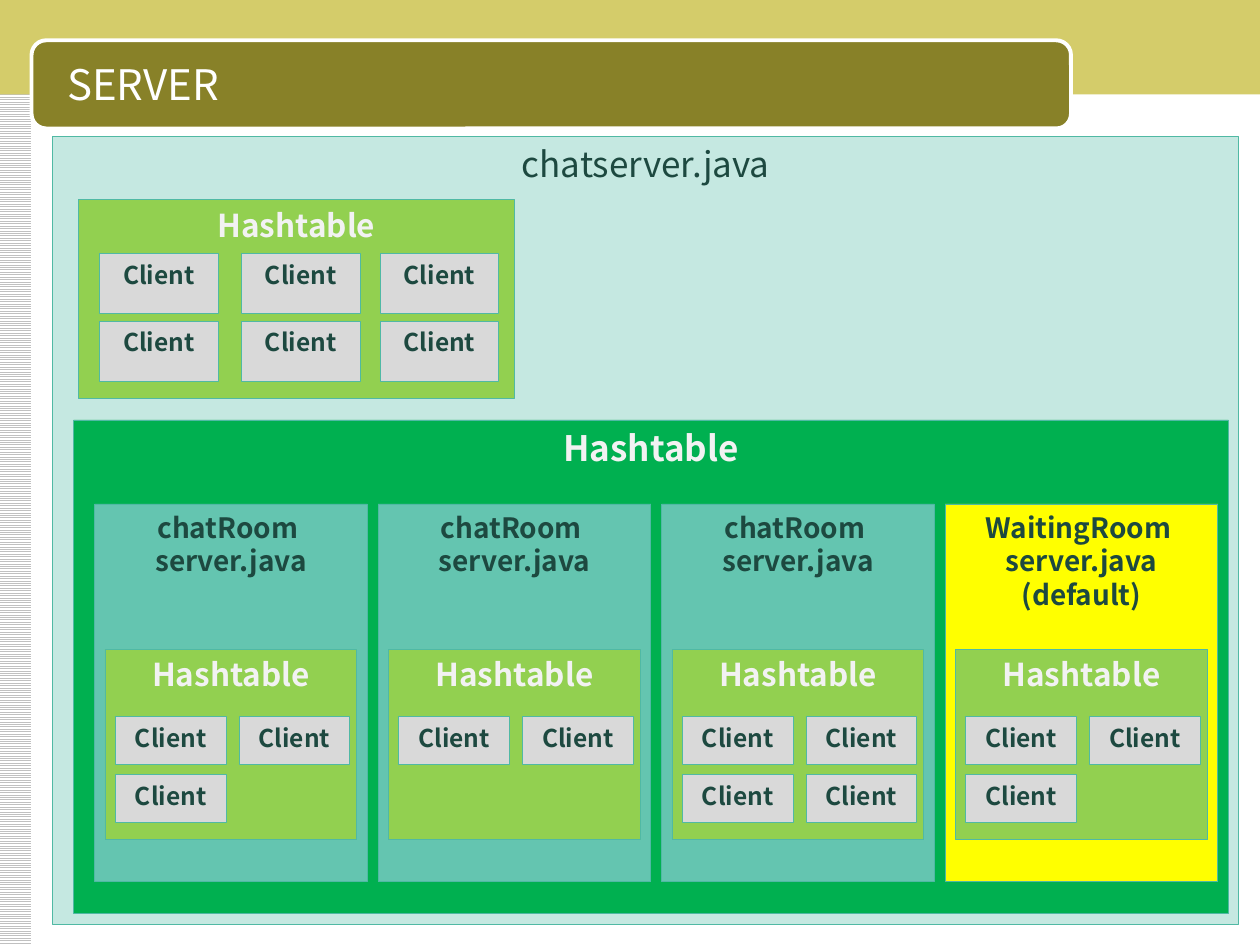
from pptx import Presentation
from pptx.dml.color import RGBColor
from pptx.enum.dml import MSO_PATTERN
from pptx.enum.shapes import MSO_SHAPE
from pptx.enum.text import MSO_ANCHOR, PP_ALIGN
from pptx.util import Pt

RECTANGLE = MSO_SHAPE.RECTANGLE
ROUNDED = MSO_SHAPE.ROUNDED_RECTANGLE
STRIPES = MSO_PATTERN.LIGHT_HORIZONTAL
CENTER, TOP, MIDDLE = PP_ALIGN.CENTER, MSO_ANCHOR.TOP, MSO_ANCHOR.MIDDLE
FONT = "Noto Sans CJK KR"

COLORS = {
    "white": "FFFFFF", "stripe": "C0C0C0", "band": "D4CC6A", "title": "888128",
    "server": "C5E8E1", "rooms": "00B050", "room": "64C5B0", "waiting": "FFFF00",
    "table": "92D050", "client": "D9D9D9", "border": "50B9A4",
    "dark": "1D4940", "light": "F2F2F2",
}

TITLE = "SERVER"
SERVER = "chatserver.java"
TABLE = "Hashtable"
CLIENT = "Client"
CHAT_ROOM = ["chatRoom ", "server.java"]
WAITING_ROOM = ["WaitingRoom ", "server.java", "(default)"]
ROOMS = [
    (CHAT_ROOM, "room", 3),
    (CHAT_ROOM, "room", 2),
    (CHAT_ROOM, "room", 4),
    (WAITING_ROOM, "waiting", 3),
]
ALL_CLIENTS = 6
ROOM_LEFT, ROOM_PITCH = 54, 162


def color(name):
    return RGBColor.from_string(COLORS[name])


def add_block(shapes, box, fill, line=None, width=0.5, kind=RECTANGLE):
    shape = shapes.add_shape(kind, *map(Pt, box))
    shape.shadow.inherit = False
    shape.fill.solid()
    shape.fill.fore_color.rgb = color(fill)
    if line:
        shape.line.color.rgb = color(line)
        shape.line.width = Pt(width)
    else:
        shape.line.fill.background()
    return shape


def add_labelled(shapes, box, fill, lines, size, ink="dark", bold=True):
    shape = add_block(shapes, box, fill, "border")
    frame = shape.text_frame
    frame.word_wrap = False
    frame.vertical_anchor = TOP
    frame.text = "\n".join(lines)
    for paragraph in frame.paragraphs:
        paragraph.alignment = CENTER
        style_font(paragraph.font, size, ink, bold)


def style_font(font, size, ink, bold=False):
    font.name = FONT
    font.size = Pt(size)
    font.bold = bold
    font.color.rgb = color(ink)


def add_clients(shapes, count, lefts, top, row_pitch, size):
    for index in range(count):
        row, column = divmod(index, len(lefts))
        box = (lefts[column], top + row * row_pitch, *size)
        add_labelled(shapes, box, "client", [CLIENT], 14)


def add_title(shapes):
    add_block(shapes, (18, 23.04, 594, 50.4), "title", "white", 2.25, ROUNDED)
    title = shapes.add_textbox(Pt(24), Pt(25.2), Pt(582), Pt(44.64))
    frame = title.text_frame
    frame.word_wrap = True
    frame.vertical_anchor = MIDDLE
    frame.margin_left = Pt(14.4)
    frame.text = TITLE
    style_font(frame.paragraphs[0].font, 24, "white")


def add_room(shapes, left, lines, fill, count):
    add_labelled(shapes, (left, 288, 156, 216), fill, lines, 16)
    group = shapes.add_group_shape().shapes
    add_labelled(group, (left + 6, 371, 144, 108.7), "table", [TABLE], 18, "light")
    add_clients(group, count, (left + 12, left + 82.7), 409.7, 33.1, (63.2, 27.2))


def main():
    presentation = Presentation()
    presentation.slide_width, presentation.slide_height = Pt(720), Pt(540)
    slide = presentation.slides.add_slide(presentation.slide_layouts[6])
    shapes = slide.shapes

    stripes = add_block(shapes, (-0.72, 0, 18.72, 540), "white")
    stripes.fill.patterned()
    stripes.fill.pattern = STRIPES
    stripes.fill.fore_color.rgb = color("stripe")
    stripes.fill.back_color.rgb = color("white")
    add_block(shapes, (-0.72, 0, 721.44, 54), "band")
    add_title(shapes)

    add_labelled(shapes, (30, 78, 678, 450), "server", [SERVER], 20, bold=False)
    add_labelled(shapes, (42, 240, 660, 282), "rooms", [TABLE], 20, "light")
    for index, room in enumerate(ROOMS):
        add_room(shapes, ROOM_LEFT + index * ROOM_PITCH, *room)

    add_labelled(shapes, (44.8, 114, 249.2, 113.6), "table", [TABLE], 18, "light")
    add_clients(shapes, ALL_CLIENTS, (56.9, 138, 217.3), 144.8, 38.8, (67.8, 34.4))

    presentation.save("out.pptx")


if __name__ == "__main__":
    main()
